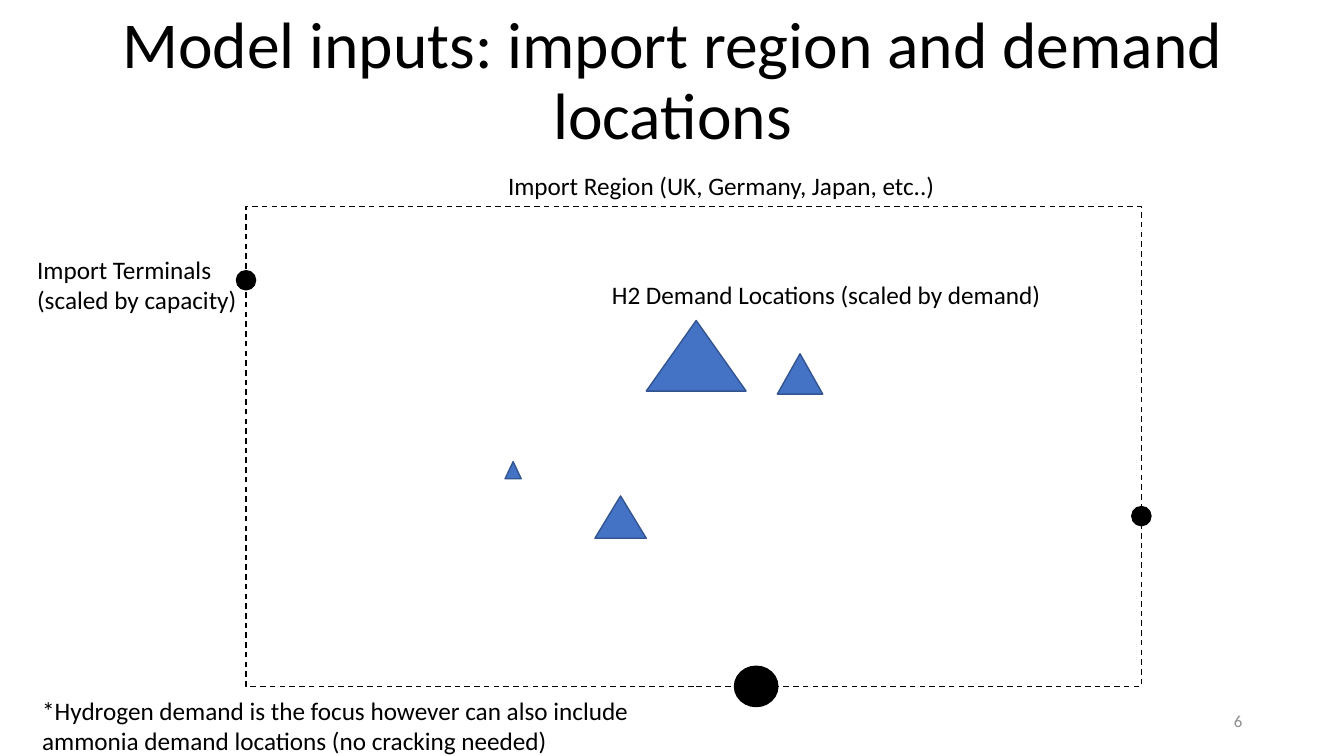
"""Build the slide on import region and hydrogen demand locations."""
from pptx import Presentation
from pptx.dml.color import RGBColor
from pptx.enum.dml import MSO_LINE
from pptx.enum.shapes import MSO_SHAPE as Shape
from pptx.enum.text import MSO_ANCHOR as Anchor, MSO_AUTO_SIZE as AutoSize, PP_ALIGN as Align
from pptx.util import Inches, Pt

BLACK, GREY, BLUE, NAVY = "000000", "8C8C8C", "4472C4", "325491"


def write(box, text, size=18, color=BLACK, align=Align.LEFT, anchor=Anchor.TOP,
          wrap=True, fit=AutoSize.NONE, spacing=1.0, after=0):
    frame = box.text_frame
    frame.word_wrap, frame.auto_size, frame.vertical_anchor = wrap, fit, anchor
    para = frame.paragraphs[0]
    para.alignment, para.line_spacing, para.space_after = align, spacing, Pt(after)
    span = para.add_run()
    span.text = text
    span.font.name, span.font.size = "Calibri", Pt(size)
    span.font.color.rgb = RGBColor.from_string(color)


def draw(page, kind, left, top, width, height, fill=None, line=BLACK):
    shape = page.shapes.add_shape(kind, *map(Inches, (left, top, width, height)))
    shape.shadow.inherit = False
    if fill:
        shape.fill.solid()
        shape.fill.fore_color.rgb = RGBColor.from_string(fill)
    else:
        shape.fill.background()
    shape.line.color.rgb = RGBColor.from_string(line)
    shape.line.width = Pt(1)
    return shape


deck = Presentation()
deck.slide_width, deck.slide_height = Inches(13.33), Inches(7.5)
page = deck.slides.add_slide(deck.slide_layouts[5])

title = page.shapes.title
title.left, title.top, title.width, title.height = map(Inches, (0.92, 0.2, 11.5, 1.24))
write(title, "Model inputs: import region and demand locations", size=46.8,
      align=Align.CENTER, anchor=Anchor.MIDDLE, spacing=0.9)

left, top, width, height = 2.44, 2.05, 8.88, 4.76
region = draw(page, Shape.RECTANGLE, left, top, width, height)
region.line.dash_style = MSO_LINE.DASH

terminals = [
    (left, 2.78, 0.19, 0.19),
    (left + width, 5.12, 0.19, 0.19),
    (7.5, top + height, 0.43, 0.4),
]
for center_x, center_y, wide, high in terminals:
    draw(page, Shape.OVAL, center_x - wide / 2, center_y - high / 2, wide, high, fill=BLACK)

demand_locations = [
    (5.01, 4.58, 0.16, 0.17),
    (7.71, 3.51, 0.45, 0.4),
    (6.41, 3.18, 0.99, 0.7),
    (5.9, 4.92, 0.51, 0.42),
]
for place in demand_locations:
    draw(page, Shape.ISOSCELES_TRIANGLE, *place, fill=BLUE, line=NAVY)

grow = {"fit": AutoSize.SHAPE_TO_FIT_TEXT}
labels = [
    ("Import Terminals (scaled by capacity)", (0.27, 2.47, 2.34, 0.71), grow),
    ("Import Region (UK, Germany, Japan, etc..)", (4.94, 1.64, 4.48, 0.4), {**grow, "wrap": False}),
    ("H2 Demand Locations (scaled by demand)", (5.97, 2.72, 4.51, 0.4), {**grow, "wrap": False}),
    ("*Hydrogen demand is the focus however can also include ammonia demand locations "
     "(no cracking needed)", (0.32, 6.85, 6.67, 0.71), grow),
    ("6", (9.42, 6.95, 3, 0.4),
     {"size": 12, "color": GREY, "align": Align.RIGHT, "anchor": Anchor.MIDDLE, "after": 6}),
]
for text, place, style in labels:
    write(page.shapes.add_textbox(*map(Inches, place)), text, **style)

deck.save("out.pptx")
